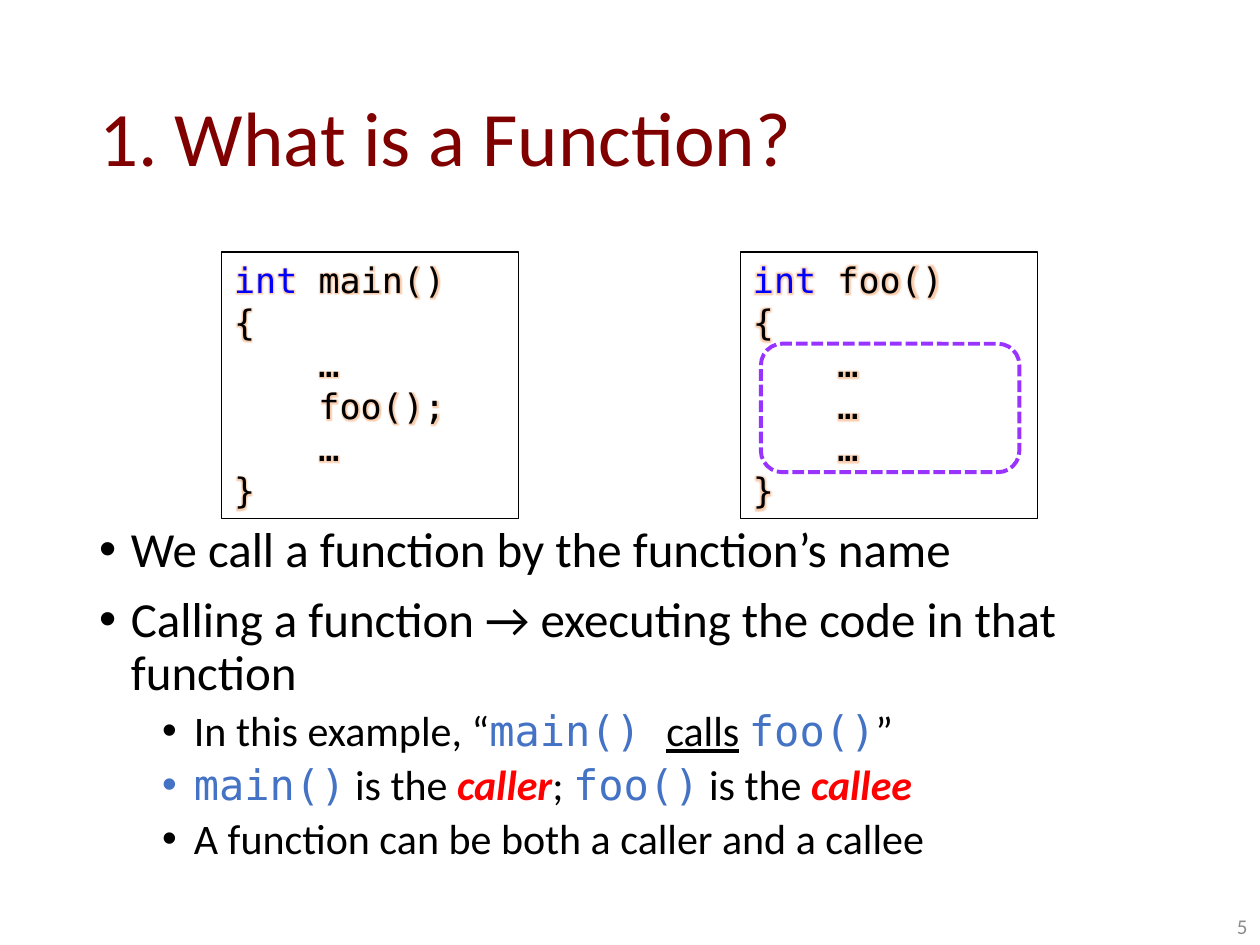
from lxml.etree import SubElement
from pptx import Presentation
from pptx.dml.color import RGBColor
from pptx.enum.dml import MSO_LINE
from pptx.enum.shapes import MSO_SHAPE
from pptx.enum.text import MSO_ANCHOR, PP_ALIGN
from pptx.oxml import parse_xml
from pptx.oxml.ns import nsdecls, qn
from pptx.util import Cm, Pt

MAROON = RGBColor(0x80, 0x00, 0x00)
BLACK = RGBColor(0x00, 0x00, 0x00)
GRAY = RGBColor(0x8C, 0x8C, 0x8C)
BLUE = RGBColor(0x44, 0x72, 0xC4)
KEYWORD_BLUE = RGBColor(0x00, 0x00, 0xFF)
RED = RGBColor(0xFF, 0x00, 0x00)
PURPLE = RGBColor(0x99, 0x33, 0xFF)
GLOW = RGBColor(0xED, 0x7D, 0x31)

SANS, MONO = "Calibri", "DejaVu Sans Mono"
PLAIN = {"name": SANS, "color": BLACK}
CODE = {"name": MONO, "color": BLUE}
TERM = {"name": SANS, "color": RED, "bold": True, "italic": True}
UNDERLINED = {**PLAIN, "underline": True}
KEYWORD = {"name": MONO, "color": KEYWORD_BLUE, "size": Pt(20)}
SOURCE = {**KEYWORD, "color": BLACK}

TITLE = "1. What is a Function?"
PAGE = "5"
# (level, runs)
BULLETS = [
    (0, [("We call a function by the function’s name", PLAIN)]),
    (0, [("Calling a function → executing the code in that function", PLAIN)]),
    (1, [("In this example, “", PLAIN), ("main() ", CODE), ("calls", UNDERLINED),
         (" ", PLAIN), ("foo()", CODE), ("”", PLAIN)]),
    (1, [("main()", CODE), (" is the ", PLAIN), ("caller", TERM), ("; ", PLAIN),
         ("foo()", CODE), (" is the ", PLAIN), ("callee", TERM)]),
    (1, [("A function can be both a caller and a callee", PLAIN)]),
]
# level: (size, left margin, space before)
LEVELS = [(Pt(28), Cm(0.64), Pt(10)), (Pt(24), Cm(1.91), Pt(5))]
HANGING = Cm(0.64)

FUNCTIONS = [
    ("main()", ["{", "    …", "    foo();", "    …", "}"]),
    ("foo()", ["{", "    …", "    …", "    …", "}"]),
]
CODE_LEFT, CODE_TOP, CODE_STEP = 4.47, 5.08, 10.46
CODE_WIDTH, CODE_HEIGHT = 5.99, 5.38


def add_run(p, text, style):
    r = p.add_run()
    r.text = text
    for key, value in style.items():
        if key == "color":
            r.font.color.rgb = value
        else:
            setattr(r.font, key, value)
    return r


def add_glow(r):
    """Put a soft orange glow around a run, right after its fill."""
    r.font.fill._xPr.find(qn("a:solidFill")).addnext(parse_xml(
        f'<a:effectLst {nsdecls("a")}><a:glow rad="63500"><a:srgbClr val="{GLOW}">'
        '<a:alpha val="40000"/></a:srgbClr></a:glow></a:effectLst>'))


def add_text_box(slide, box, anchor=MSO_ANCHOR.TOP):
    tf = slide.shapes.add_textbox(*map(Cm, box)).text_frame
    tf.word_wrap = True
    tf.vertical_anchor = anchor
    return tf


def next_paragraph(tf, index):
    return tf.add_paragraph() if index else tf.paragraphs[0]


def add_outline(slide, kind, box, color, width):
    s = slide.shapes.add_shape(kind, *map(Cm, box))
    s.shadow.inherit = False
    s.fill.background()
    s.line.color.rgb = color
    s.line.width = Pt(width)
    return s


def add_bullets(slide):
    tf = add_text_box(slide, (1.75, 10.46, 21.89, 7.19))
    for i, (level, runs) in enumerate(BULLETS):
        size, margin, before = LEVELS[level]
        p = next_paragraph(tf, i)
        p.level = level
        p.line_spacing = 0.9
        if i:
            p.space_before = before
        pPr = p._p.get_or_add_pPr()
        pPr.set("marL", str(margin))
        pPr.set("indent", str(-HANGING))
        SubElement(pPr, qn("a:buFont")).set("typeface", "Arial")
        SubElement(pPr, qn("a:buChar")).set("char", "•")
        for text, style in runs:
            add_run(p, text, {**style, "size": size})


def add_code_box(slide, left, name, body):
    s = add_outline(slide, MSO_SHAPE.RECTANGLE,
                    (left, CODE_TOP, CODE_WIDTH, CODE_HEIGHT), BLACK, 0.75)
    tf = s.text_frame
    tf.word_wrap = True
    tf.vertical_anchor = MSO_ANCHOR.TOP
    lines = [[("int", KEYWORD), (f" {name}", SOURCE)]]
    lines += [[(line, SOURCE)] for line in body]
    for i, runs in enumerate(lines):
        p = next_paragraph(tf, i)
        p.alignment = PP_ALIGN.LEFT
        for text, style in runs:
            add_glow(add_run(p, text, style))


def main():
    prs = Presentation()
    prs.slide_width, prs.slide_height = Cm(25.4), Cm(19.05)
    slide = prs.slides.add_slide(prs.slide_layouts[6])

    p = add_text_box(slide, (1.75, 1.01, 21.89, 3.68), MSO_ANCHOR.MIDDLE).paragraphs[0]
    p.line_spacing = 0.9
    add_run(p, TITLE, {"name": SANS, "size": Pt(44), "color": MAROON})

    add_bullets(slide)

    p = add_text_box(slide, (19.69, 18.03, 5.71, 1.02), MSO_ANCHOR.BOTTOM).paragraphs[0]
    p.alignment = PP_ALIGN.RIGHT
    add_run(p, PAGE, {"name": SANS, "size": Pt(12), "color": GRAY})

    for i, (name, body) in enumerate(FUNCTIONS):
        add_code_box(slide, CODE_LEFT + i * CODE_STEP, name, body)

    frame = add_outline(slide, MSO_SHAPE.ROUNDED_RECTANGLE,
                        (15.34, 6.93, 5.21, 2.59), PURPLE, 2.25)
    frame.line.dash_style = MSO_LINE.SQUARE_DOT
    prs.save("out.pptx")


if __name__ == "__main__":
    main()
